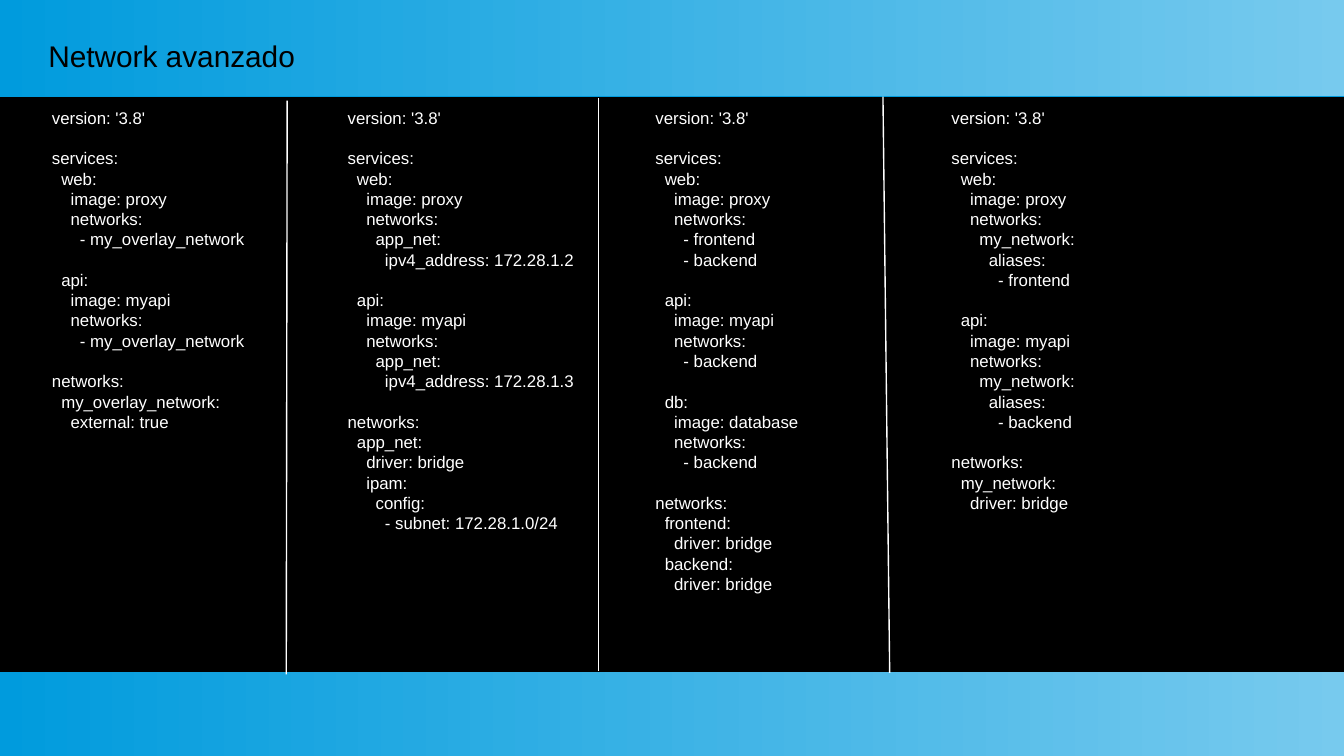
"""Builds the slide that compares four advanced network setups."""
from lxml import etree
from pptx import Presentation, util as u
from pptx.dml import color
from pptx.enum import shapes, text
from pptx.oxml import ns

WIDTH = u.Inches(10)
HEIGHT = WIDTH * 9 // 16
COLUMNS = ROWS = 100
FONT = "Arial"
BLACK, WHITE, SKY, BLUE = "000000", "FFFFFF", "77CAEE", "009BDD"
LINE_PITCH, INDENT = u.Pt(10.85), u.Pt(5)


def rgb(value):
    """Return the colour of a hex string."""
    return color.RGBColor.from_string(value)


def x(column):
    """Return the horizontal length of a number of grid columns."""
    return round(WIDTH * column / COLUMNS)


def y(row):
    """Return the vertical length of a number of grid rows."""
    return round(HEIGHT * row / ROWS)


def add_effects(properties):
    """Append an empty effect list to shape properties."""
    return etree.SubElement(properties, ns.qn("a:effectLst"))


def add_band(slide, top, height):
    """Add a full-width gradient band with a thin blue edge below."""
    band = slide.shapes.add_shape(
        shapes.MSO_SHAPE.RECTANGLE, 0, y(top), WIDTH, y(height))
    band.line.fill.background()
    band.fill.gradient()
    band.fill.gradient_angle = 180
    for stop, position, value in zip(band.fill.gradient_stops, (0, 1), (SKY, BLUE)):
        stop.position = position
        stop.color.rgb = rgb(value)
    shadow = etree.SubElement(
        add_effects(band.element.spPr), ns.qn("a:outerShdw"),
        blurRad="0", dist=str(u.Pt(0.9)), dir="5400000", rotWithShape="0")
    etree.SubElement(shadow, ns.qn("a:srgbClr"), val=BLUE)


def add_frame(slide, left, top, width, height):
    """Add a wrapping text box without margins and return its text frame."""
    frame = slide.shapes.add_textbox(x(left), y(top), x(width), y(height)).text_frame
    frame.word_wrap = True
    frame.margin_left = frame.margin_right = 0
    frame.margin_top = frame.margin_bottom = 0
    return frame


def add_run(paragraph, words, size, value):
    """Add one run of text to a paragraph."""
    run = paragraph.add_run()
    run.text = words
    run.font.name = FONT
    run.font.size = u.Pt(size)
    run.font.color.rgb = rgb(value)


def add_title(slide, words):
    """Add the slide heading."""
    frame = add_frame(slide, 3.6, 3.2, 92.9, 8.36)
    frame.vertical_anchor = text.MSO_ANCHOR.MIDDLE
    add_run(frame.paragraphs[0], words, 16, BLACK)


def compose(services, networks):
    """Return the compose file as blocks of (depth, line) pairs."""
    blocks = [[(0, "version: '3.8'")]]
    for index, (name, image, attachments) in enumerate(services):
        heading = [] if index else [(0, "services:")]
        blocks.append(heading + [
            (1, f"{name}:"), (2, f"image: {image}"), (2, "networks:"),
            *((3 + depth, line) for depth, line in attachments)])
    blocks.append([(0, "networks:"), *((1 + depth, line) for depth, line in networks)])
    return blocks


def add_code(slide, left, blocks):
    """Add a code column, with a line's gap before each later block."""
    frame = add_frame(slide, left, 14.22, 17, 75.2)
    paragraph = frame.paragraphs[0]
    for block_index, block in enumerate(blocks):
        for line_index, (depth, line) in enumerate(block):
            if block_index or line_index:
                paragraph = frame.add_paragraph()
            if block_index and not line_index:
                paragraph.space_before = LINE_PITCH
            paragraph.line_spacing = LINE_PITCH
            properties = paragraph._p.get_or_add_pPr()
            properties.set("marL", str(depth * INDENT))
            properties.set("indent", "0")
            add_run(paragraph, line, 9, WHITE)


def add_divider(slide, start, end):
    """Add a thin white line between two grid points."""
    divider = slide.shapes.add_connector(
        shapes.MSO_CONNECTOR.STRAIGHT, x(start[0]), y(start[1]), x(end[0]), y(end[1]))
    divider.line.color.rgb = rgb(WHITE)
    divider.line.width = u.Pt(0.75)
    add_effects(divider.element.spPr)


def address(value):
    """Return the lines that give a service a fixed address."""
    return [(0, "app_net:"), (1, f"ipv4_address: {value}")]


def alias(name):
    """Return the lines that give a service an alias."""
    return [(0, "my_network:"), (1, "aliases:"), (2, f"- {name}")]


def main():
    """Build and save the slide."""
    presentation = Presentation()
    presentation.slide_width, presentation.slide_height = WIDTH, HEIGHT
    slide = presentation.slides.add_slide(presentation.slide_layouts[6])
    slide.background.fill.solid()
    slide.background.fill.fore_color.rgb = rgb(BLACK)

    add_band(slide, 0, 12.65)
    add_band(slide, 88.89, 11.11)
    add_title(slide, "Network avanzado")

    web, api, database = ("web", "proxy"), ("api", "myapi"), ("db", "database")
    overlay, backend = [(0, "- my_overlay_network")], [(0, "- backend")]
    driver = (1, "driver: bridge")
    setups = {
        3.87: compose(
            [(*web, overlay), (*api, overlay)],
            [(0, "my_overlay_network:"), (1, "external: true")]),
        25.87: compose(
            [(*web, address("172.28.1.2")), (*api, address("172.28.1.3"))],
            [(0, "app_net:"), driver, (1, "ipam:"), (2, "config:"),
             (3, "- subnet: 172.28.1.0/24")]),
        48.77: compose(
            [(*web, [(0, "- frontend"), *backend]), (*api, backend),
             (*database, backend)],
            [(0, "frontend:"), driver, (0, "backend:"), driver]),
        70.8: compose(
            [(*web, alias("frontend")), (*api, alias("backend"))],
            [(0, "my_network:"), driver]),
    }
    for left, blocks in setups.items():
        add_code(slide, left, blocks)

    add_divider(slide, (21.37, 13.3), (21.3, 89.2))
    add_divider(slide, (44.53, 13), (44.53, 88.7))
    add_divider(slide, (65.7, 12.8), (66.2, 89))
    presentation.save("out.pptx")


if __name__ == "__main__":
    main()
